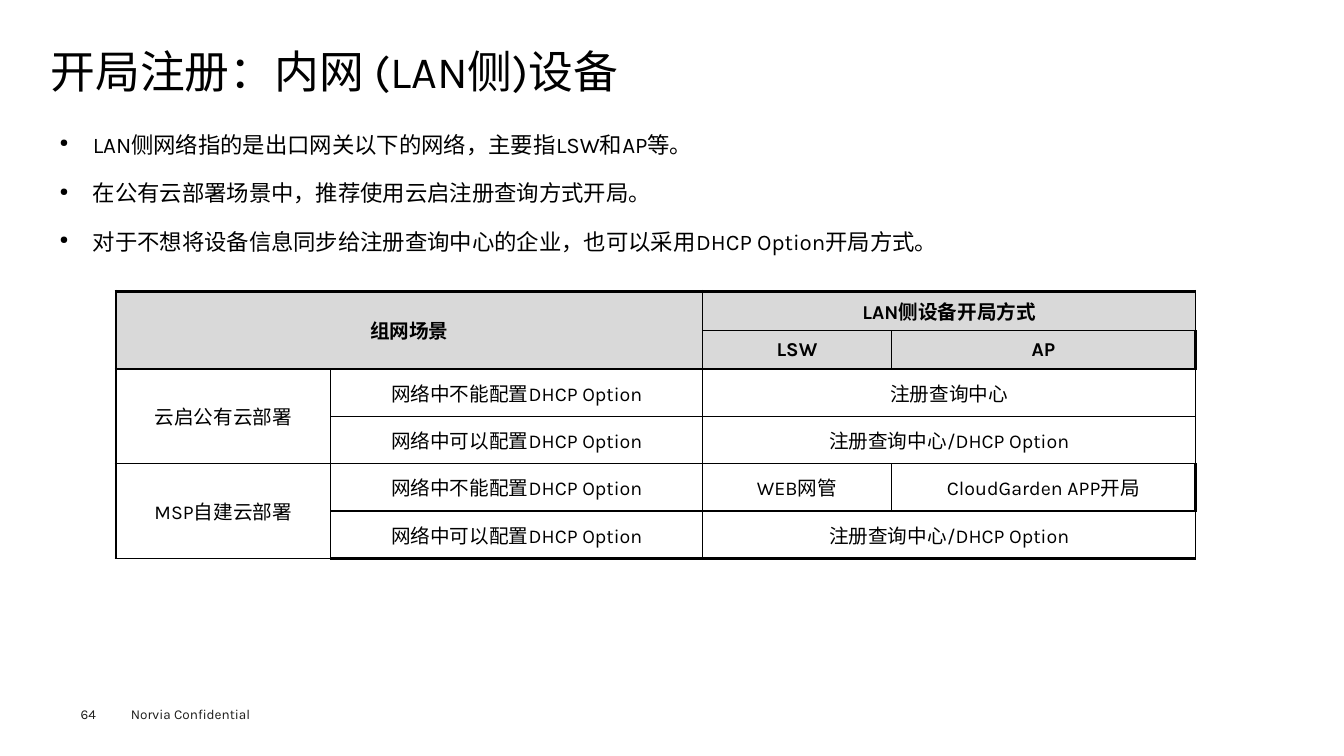
import pptx
import pptx.dml.color
import pptx.enum.text
import pptx.oxml
import pptx.oxml.ns
import pptx.util
from dataclasses import dataclass
from pptx.util import Inches


@dataclass(frozen=True)
class Theme:
    font: str = "Karla"
    ink: str = "000000"
    footer_ink: str = "1D1D1B"
    header_fill: str = "D9D9D9"
    body_fill: str = "FFFFFF"
    title_size: float = 32
    bullet_size: float = 16
    table_size: float = 14
    footer_size: float = 9.7
    thin: float = 1
    thick: float = 2.25


THEME = Theme()
ALIGN = pptx.enum.text.PP_ALIGN
ANCHOR = pptx.enum.text.MSO_ANCHOR

TITLE = "开局注册：内网 (LAN侧)设备"
BULLETS = [
    "LAN侧网络指的是出口网关以下的网络，主要指LSW和AP等。",
    "在公有云部署场景中，推荐使用云启注册查询方式开局。",
    "对于不想将设备信息同步给注册查询中心的企业，也可以采用DHCP Option开局方式。",
]
COLUMNS = [2.13, 3.69, 1.87, 3.02]
ROWS = [0.39, 0.38] + [0.47] * 4
HEADER_ROWS = 2
CELLS = [
    ["组网场景", "", "LAN侧设备开局方式", ""],
    ["", "", "LSW", "AP"],
    ["云启公有云部署", "网络中不能配置DHCP Option", "注册查询中心", ""],
    ["", "网络中可以配置DHCP Option", "注册查询中心/DHCP Option", ""],
    ["MSP自建云部署", "网络中不能配置DHCP Option", "WEB网管", "CloudGarden APP开局"],
    ["", "网络中可以配置DHCP Option", "注册查询中心/DHCP Option", ""],
]
MERGES = [
    ((0, 0), (1, 1)),
    ((0, 2), (0, 3)),
    ((2, 0), (3, 0)),
    ((2, 2), (2, 3)),
    ((3, 2), (3, 3)),
    ((4, 0), (5, 0)),
    ((5, 2), (5, 3)),
]


def style_runs(para, size, color, bold=False):
    for span in para.runs:
        span.font.name = THEME.font
        span.font.size = pptx.util.Pt(size)
        span.font.bold = bold
        span.font.color.rgb = pptx.dml.color.RGBColor.from_string(color)


def add_text(page, box, lines, size, color, insets=(0, 0)):
    frame = page.shapes.add_textbox(*map(Inches, box)).text_frame
    frame.word_wrap = True
    frame.margin_left = frame.margin_right = Inches(insets[0])
    frame.margin_top = frame.margin_bottom = Inches(insets[1])
    frame.text = "\n".join(lines)
    for para in frame.paragraphs:
        style_runs(para, size, color)
    return frame


def add_title(page, box):
    frame = add_text(page, box, [TITLE], THEME.title_size, THEME.ink)
    frame.paragraphs[0].line_spacing = 0.9


def add_bullets(page, box):
    frame = add_text(page, box, BULLETS, THEME.bullet_size, THEME.ink, (0.09, 0.04))
    for index, para in enumerate(frame.paragraphs):
        properties = para._p.get_or_add_pPr()
        properties.set("marL", str(Inches(0.33)))
        properties.set("indent", str(-Inches(0.33)))
        for tag, name, value in (("buSzPct", "val", "50000"), ("buChar", "char", "●")):
            bullet = pptx.oxml.parse_xml(
                f'<a:{tag} {pptx.oxml.ns.nsdecls("a")} {name}="{value}"/>'
            )
            properties.append(bullet)
        para.alignment = ALIGN.JUSTIFY
        para.line_spacing = 1.4
        if index:
            para.space_before = pptx.util.Pt(7.9)


def set_borders(cell, thick_sides):
    properties = cell._tc.get_or_add_tcPr()
    for side in "LRTB":
        width = pptx.util.Pt(THEME.thick if side in thick_sides else THEME.thin)
        properties.append(pptx.oxml.parse_xml(
            f'<a:ln{side} {pptx.oxml.ns.nsdecls("a")} w="{width}"><a:solidFill>'
            f'<a:srgbClr val="{THEME.ink}"/></a:solidFill></a:ln{side}>'
        ))


def outer_sides(row, column):
    edges = {
        "L": column == 0,
        "R": column == len(COLUMNS) - 1 and row > 0,
        "T": row == 0,
        "B": row == len(ROWS) - 1,
    }
    return [side for side, outer in edges.items() if outer]


def add_scenario_table(page, left, top):
    table = page.shapes.add_table(
        len(ROWS), len(COLUMNS), Inches(left), Inches(top),
        Inches(sum(COLUMNS)), Inches(sum(ROWS)),
    ).table
    table.first_row = table.horz_banding = False
    for column, width in zip(table.columns, COLUMNS):
        column.width = Inches(width)
    for row, height in zip(table.rows, ROWS):
        row.height = Inches(height)
    for row, texts in enumerate(CELLS):
        header = row < HEADER_ROWS
        for column, text in enumerate(texts):
            cell = table.cell(row, column)
            set_borders(cell, outer_sides(row, column))
            cell.fill.solid()
            cell.fill.fore_color.rgb = pptx.dml.color.RGBColor.from_string(
                THEME.header_fill if header else THEME.body_fill
            )
            cell.vertical_anchor = ANCHOR.MIDDLE
            para = cell.text_frame.paragraphs[0]
            para.text = text
            para.alignment = ALIGN.CENTER
            para.font.size = pptx.util.Pt(THEME.table_size)
            style_runs(para, THEME.table_size, THEME.ink, header)
    for first, last in MERGES:
        table.cell(*first).merge(table.cell(*last))


def add_footer(page, left, top):
    size, color = THEME.footer_size, THEME.footer_ink
    add_text(page, (left, top + 0.05, 0.4, 0.16), ["64"], size, color)
    add_text(page, (left + 0.4, top, 1.6, 0.27), ["Norvia Confidential"],
             size, color, (0.1, 0.05))


def main():
    deck = pptx.Presentation()
    deck.slide_width = Inches(13.33)
    deck.slide_height = Inches(7.5)
    page = deck.slides.add_slide(deck.slide_layouts[6])
    add_title(page, (0.5, 0.49, 12.35, 0.53))
    add_bullets(page, (0.5, 1.15, 12.35, 1.45))
    add_scenario_table(page, 1.15, 2.89)
    add_footer(page, 0.8, 6.95)
    deck.save("out.pptx")


if __name__ == "__main__":
    main()
